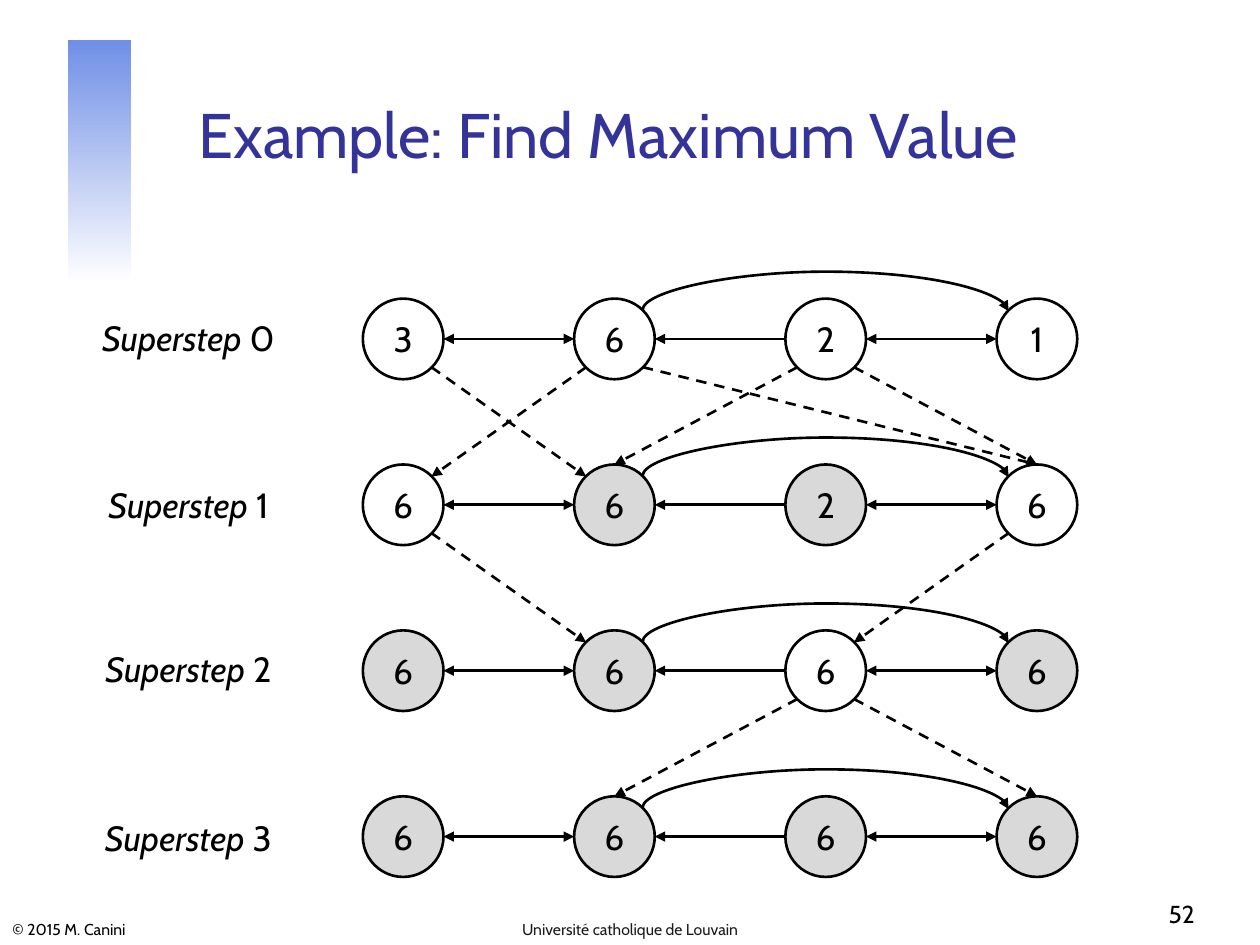
from pptx import Presentation
from pptx import util as u
from pptx.dml.color import RGBColor
from pptx.enum import dml, shapes, text
from pptx.oxml.ns import qn
from lxml import etree

X0, Y0, DX, DY, D = 2.88, 2.37, 5.03 / 3, 3.95 / 3, 0.64
SITES = {"left": (0, 0.5), "right": (1, 0.5), "top": (0.5, 0),
         "top_left": (0.15, 0.15), "top_right": (0.85, 0.15),
         "bottom_left": (0.15, 0.85), "bottom_right": (0.85, 0.85)}
STEPS = [("3621", "", 2.46), ("6626", "12", 3.79),
         ("6666", "013", 5.09), ("6666", "0123", 6.43)]
LINKS = [(1, 0, True), (3, 2, True), (2, 1, False)]
MESSAGES = [
    (0, 0, "bottom_right", 1, "top_left"),
    (0, 1, "bottom_left", 0, "top_right"),
    (0, 1, "bottom_right", 3, "top"),
    (0, 2, "bottom_left", 1, "top"),
    (0, 2, "bottom_right", 3, "top"),
    (1, 0, "bottom_right", 1, "top_left"),
    (1, 3, "bottom_left", 2, "top_right"),
    (2, 2, "bottom_left", 1, "top"),
    (2, 2, "bottom_right", 3, "top"),
]


def rgb(value):
    return RGBColor.from_string(value)


def site(row, col, name):
    fx, fy = SITES[name]
    return X0 + col * DX + fx * D, Y0 + row * DY + fy * D


class Deck:
    font, ink, grey, weight = "Cabin", "000000", "D9D9D9", 1.5

    def __init__(self):
        self.prs = Presentation()
        self.prs.slide_width, self.prs.slide_height = u.Inches(10), u.Inches(7.5)
        self.s = self.prs.slides.add_slide(self.prs.slide_layouts[6])

    def fill_text(self, tf, runs, size, color=None, align="LEFT", anchor="TOP", **frame):
        frame["vertical_anchor"] = getattr(text.MSO_ANCHOR, anchor)
        for key, value in frame.items():
            setattr(tf, key, value)
        p = tf.paragraphs[0]
        p.alignment = getattr(text.PP_ALIGN, align)
        for words, italic in runs:
            r = p.add_run()
            r.text = words
            style = {"name": self.font, "size": u.Pt(size), "italic": italic}
            for key, value in style.items():
                setattr(r.font, key, value)
            r.font.color.rgb = rgb(color or self.ink)

    def label(self, box, runs, size, wrap=True, **style):
        sp = self.s.shapes.add_textbox(*map(u.Inches, box))
        self.fill_text(sp.text_frame, runs, size, word_wrap=wrap, **style)

    def gradient(self, box, colors):
        sp = self.s.shapes.add_shape(shapes.MSO_SHAPE.RECTANGLE, *map(u.Inches, box))
        sp.shadow.inherit = False
        sp.line.fill.background()
        sp.fill.gradient()
        sp.fill.gradient_angle = 270
        for stop, color, position in zip(sp.fill.gradient_stops, colors, (0, 1)):
            stop.color.rgb, stop.position = rgb(color), position

    def node(self, row, col, value, halted):
        box = X0 + col * DX, Y0 + row * DY, D, D
        sp = self.s.shapes.add_shape(shapes.MSO_SHAPE.OVAL, *map(u.Inches, box))
        sp.shadow.inherit = False
        if halted:
            sp.fill.solid()
            sp.fill.fore_color.rgb = rgb(self.grey)
        else:
            sp.fill.background()
        sp.line.color.rgb, sp.line.width = rgb(self.ink), u.Pt(self.weight)
        self.fill_text(sp.text_frame, [(value, False)], 20, align="CENTER", anchor="MIDDLE",
                       margin_left=0, margin_right=0, margin_top=0, margin_bottom=0)

    def arrow(self, start, end, both=False, dashed=False, kind="STRAIGHT"):
        sp = self.s.shapes.add_connector(getattr(shapes.MSO_CONNECTOR, kind),
                                         *map(u.Inches, start + end))
        sp.line.color.rgb, sp.line.width = rgb(self.ink), u.Pt(self.weight)
        if dashed:
            sp.line.dash_style = dml.MSO_LINE.DASH
        pr = sp._element.spPr
        for tag in ("a:headEnd", "a:tailEnd") if both else ("a:tailEnd",):
            etree.SubElement(pr.find(qn("a:ln")), qn(tag), type="triangle")
        etree.SubElement(pr, qn("a:effectLst"))
        return sp

    def arc(self, start, end, rise=0.31, thin=0.01):
        cx, cy, half = (start[0] + end[0]) / 2, start[1], (end[0] - start[0]) / 2
        sp = self.arrow((cx + thin / 2, cy - half), (cx - thin / 2, cy + half), kind="CURVE")
        pr = sp._element.spPr
        pr.find(qn("a:xfrm")).set("rot", str(270 * 60000))
        geom = pr.find(qn("a:prstGeom"))
        guides = geom.find(qn("a:avLst"))
        if guides is None:
            guides = etree.SubElement(geom, qn("a:avLst"))
        etree.SubElement(guides, qn("a:gd"), name="adj1",
                         fmla=f"val {round(-rise / thin * 100000)}")


def main():
    d = Deck()
    d.gradient((0.54, 0.32, 0.5, 1.93), ("708FE6", "FFFFFF"))
    d.label((1.48, 0.33, 8.52, 1.08), [("Example: Find Maximum Value", False)], 36,
            color="333399", anchor="BOTTOM")
    for row, (values, halted, label_top) in enumerate(STEPS):
        d.label((0.65, label_top, 1.69, 0.44), [("Superstep", True), (f" {row}", False)], 20,
                wrap=False, align="CENTER")
        for col, value in enumerate(values):
            d.node(row, col, value, str(col) in halted)
        for a, b, both in LINKS:
            d.arrow(site(row, a, "left"), site(row, b, "right"), both=both)
        d.arc(site(row, 1, "top_right"), site(row, 3, "top_left"))
    for row, a, leave, b, enter in MESSAGES:
        d.arrow(site(row, a, leave), site(row + 1, b, enter), dashed=True)
    d.label((0, 7.22, 3.02, 0.28), [("© 2015 M. Canini", False)], 9, anchor="BOTTOM")
    d.label((3.42, 7.22, 3.16, 0.28), [("Université catholique de Louvain", False)], 9,
            color="1C1C1C", align="CENTER", anchor="BOTTOM")
    d.label((7.5, 6.92, 2.08, 0.5), [("52", False)], 14, align="RIGHT", anchor="BOTTOM")
    d.prs.save("out.pptx")


if __name__ == "__main__":
    main()
